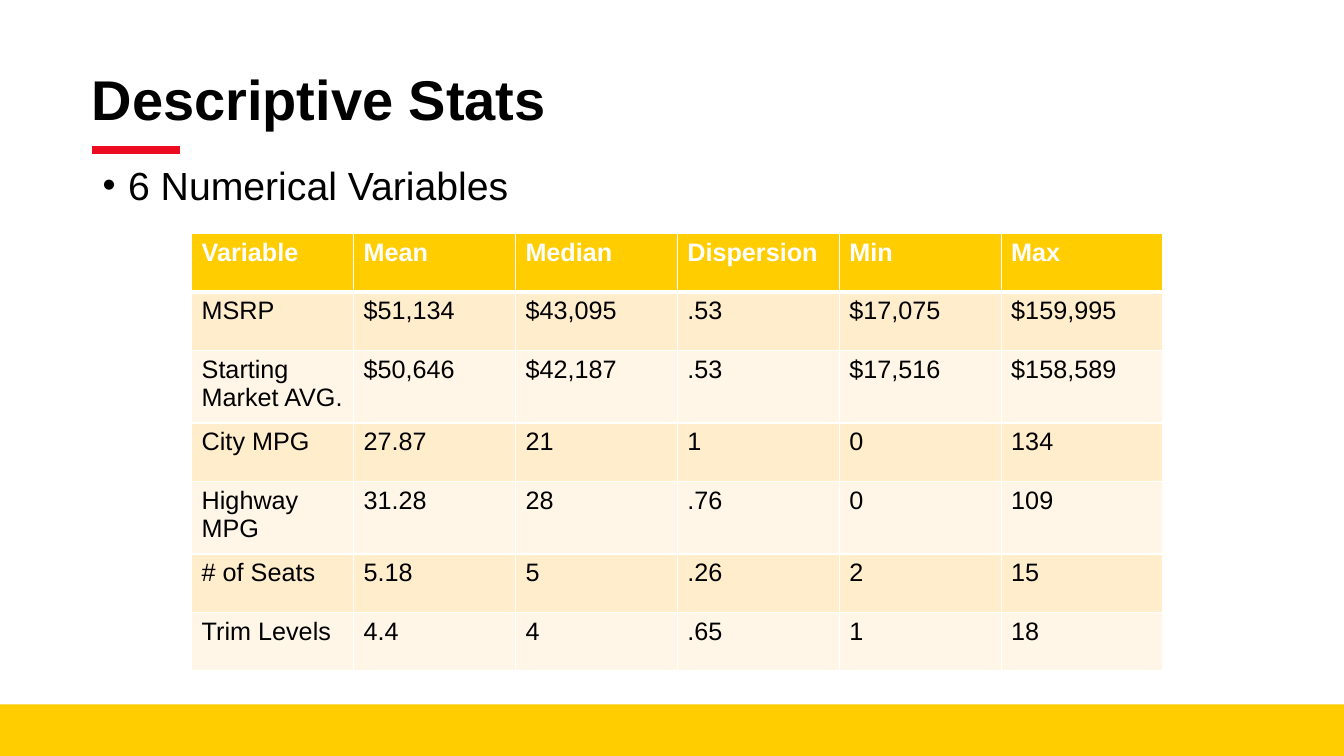
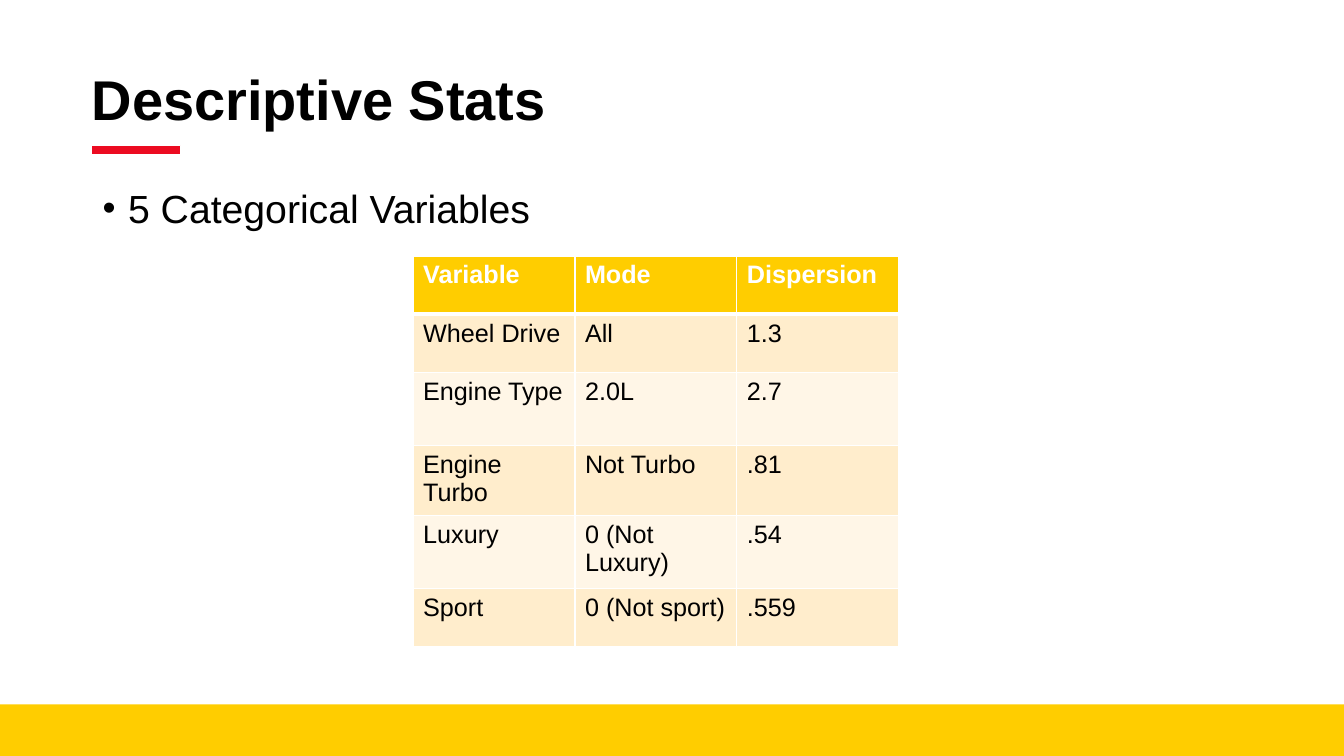
from lxml import etree
from pptx import Presentation
from pptx.dml.color import RGBColor
from pptx.enum import shapes, text
from pptx.oxml import ns
from pptx.util import Cm, Pt

COLORS = {
    "gold": "FFCD00",
    "red": "EC0B21",
    "white": "FFFFFF",
    "black": "000000",
    "odd": "FFEDCC",
    "even": "FFF6E7",
}
FONT = "Arial"
WIDTH, HEIGHT = 33.87, 19.05
COL, SHORT, TALL = 4.08, 1.47, 1.83

# Each slide: bullet text and top, table corner, tall rows, table values
SLIDES = [
    ("6 Numerical Variables", 3.84, (4.83, 5.89), (2, 4), [
        ["Variable", "Mean", "Median", "Dispersion", "Min", "Max"],
        ["MSRP", "$51,134", "$43,095", ".53", "$17,075", "$159,995"],
        ["Starting Market AVG.", "$50,646", "$42,187", ".53", "$17,516", "$158,589"],
        ["City MPG", "27.87", "21", "1", "0", "134"],
        ["Highway MPG", "31.28", "28", ".76", "0", "109"],
        ["# of Seats", "5.18", "5", ".26", "2", "15"],
        ["Trim Levels", "4.4", "4", ".65", "1", "18"],
    ]),
    ("5 Categorical Variables", 4.42, (10.41, 6.45), (2, 4), [
        ["Variable", "Mode", "Dispersion"],
        ["Wheel Drive", "All", "1.3"],
        ["Engine Type", "2.0L", "2.7"],
        ["Engine Turbo", "Not Turbo", ".81"],
        ["Luxury", "0 (Not Luxury)", ".54"],
        ["Sport", "0 (Not sport)", ".559"],
    ]),
]


def rgb(name):
    return RGBColor.from_string(COLORS[name])


def add_run(para, words, size, color="black", bold=False):
    run = para.add_run()
    run.text = words
    font = run.font
    font.name, font.size, font.bold = FONT, Pt(size), bold
    font.color.rgb = rgb(color)


def add_bar(slide, left, top, width, height, fill, line=None):
    bar = slide.shapes.add_shape(
        shapes.MSO_SHAPE.RECTANGLE, Cm(left), Cm(top), Cm(width), Cm(height))
    bar.shadow.inherit = False
    bar.fill.solid()
    bar.fill.fore_color.rgb = rgb(fill)
    if line:
        bar.line.color.rgb = rgb(line)
        bar.line.width = Pt(1)
    else:
        bar.line.fill.background()


def add_title(slide, words):
    title = slide.shapes.title
    title.left, title.top = Cm(2.06), Cm(1.37)
    title.width, title.height = Cm(29.21), Cm(2.41)
    frame = title.text_frame
    frame.auto_size = text.MSO_AUTO_SIZE.NONE
    frame.vertical_anchor = text.MSO_ANCHOR.MIDDLE
    para = frame.paragraphs[0]
    para.alignment = text.PP_ALIGN.LEFT
    para.line_spacing = 0.9
    add_run(para, words, 40, bold=True)


def add_bullet(slide, words, top):
    box = slide.shapes.add_textbox(Cm(2.34), Cm(top), Cm(29.21), Cm(16.61 - top))
    frame = box.text_frame
    frame.word_wrap = True
    frame.margin_top = Cm(0.23)
    para = frame.paragraphs[0]
    props = para._p.get_or_add_pPr()
    props.set("marL", str(Cm(0.64)))
    props.set("indent", str(-Cm(0.64)))
    etree.SubElement(props, ns.qn("a:buSzPct"), val="95000")
    etree.SubElement(props, ns.qn("a:buFont"), typeface=FONT)
    etree.SubElement(props, ns.qn("a:buChar"), char="•")
    add_run(para, words, 28)


def set_borders(cell, **widths):
    """Draw white cell borders, 1 pt unless a side is given."""
    props = cell._tc.get_or_add_tcPr()
    for spot, side in enumerate("LRTB"):
        line = etree.Element(ns.qn("a:ln" + side), w=str(Pt(widths.get(side, 1))))
        fill = etree.SubElement(line, ns.qn("a:solidFill"))
        etree.SubElement(fill, ns.qn("a:srgbClr"), val=COLORS["white"])
        props.insert(spot, line)


def add_grid(slide, corner, tall, rows):
    heights = [TALL if i in tall else SHORT for i in range(len(rows))]
    count = len(rows[0])
    left, top = corner
    table = slide.shapes.add_table(
        len(rows), count, Cm(left), Cm(top), Cm(COL * count), Cm(sum(heights))).table
    for col in table.columns:
        col.width = Cm(COL)
    for i, values in enumerate(rows):
        table.rows[i].height = Cm(heights[i])
        head = i == 0
        fill = "gold" if head else "odd" if i % 2 else "even"
        edges = {0: {"B": 3}, 1: {"T": 3}}.get(i, {})
        for j, value in enumerate(values):
            cell = table.cell(i, j)
            cell.fill.solid()
            cell.fill.fore_color.rgb = rgb(fill)
            set_borders(cell, **edges)
            add_run(cell.text_frame.paragraphs[0], value, 18,
                    "white" if head else "black", head)


def add_base(deck, words):
    """Start a slide with the shared band, title and accent."""
    slide = deck.slides.add_slide(deck.slide_layouts[5])
    add_bar(slide, 0, 17.75, WIDTH, HEIGHT - 17.75, "gold")
    add_title(slide, words)
    return slide


def main():
    deck = Presentation()
    deck.slide_width, deck.slide_height = Cm(WIDTH), Cm(HEIGHT)
    for label, top, corner, tall, rows in SLIDES:
        slide = add_base(deck, "Descriptive Stats")
        add_bullet(slide, label, top)
        add_grid(slide, corner, tall, rows)
        # Red accent under the title
        add_bar(slide, 2.29, 3.66, 2.26, 0.25, "red", "white")
    deck.save("out.pptx")


if __name__ == "__main__":
    main()
